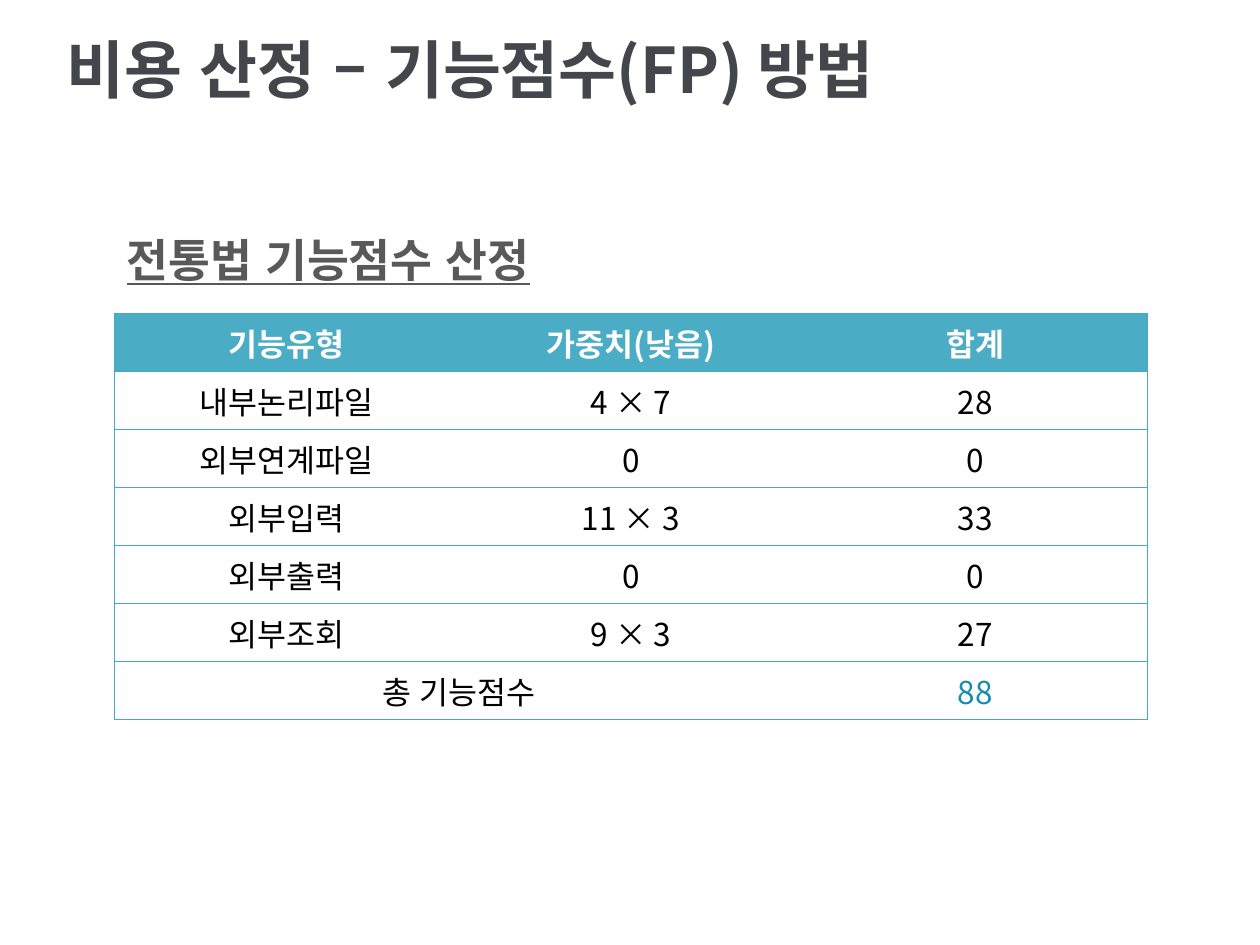
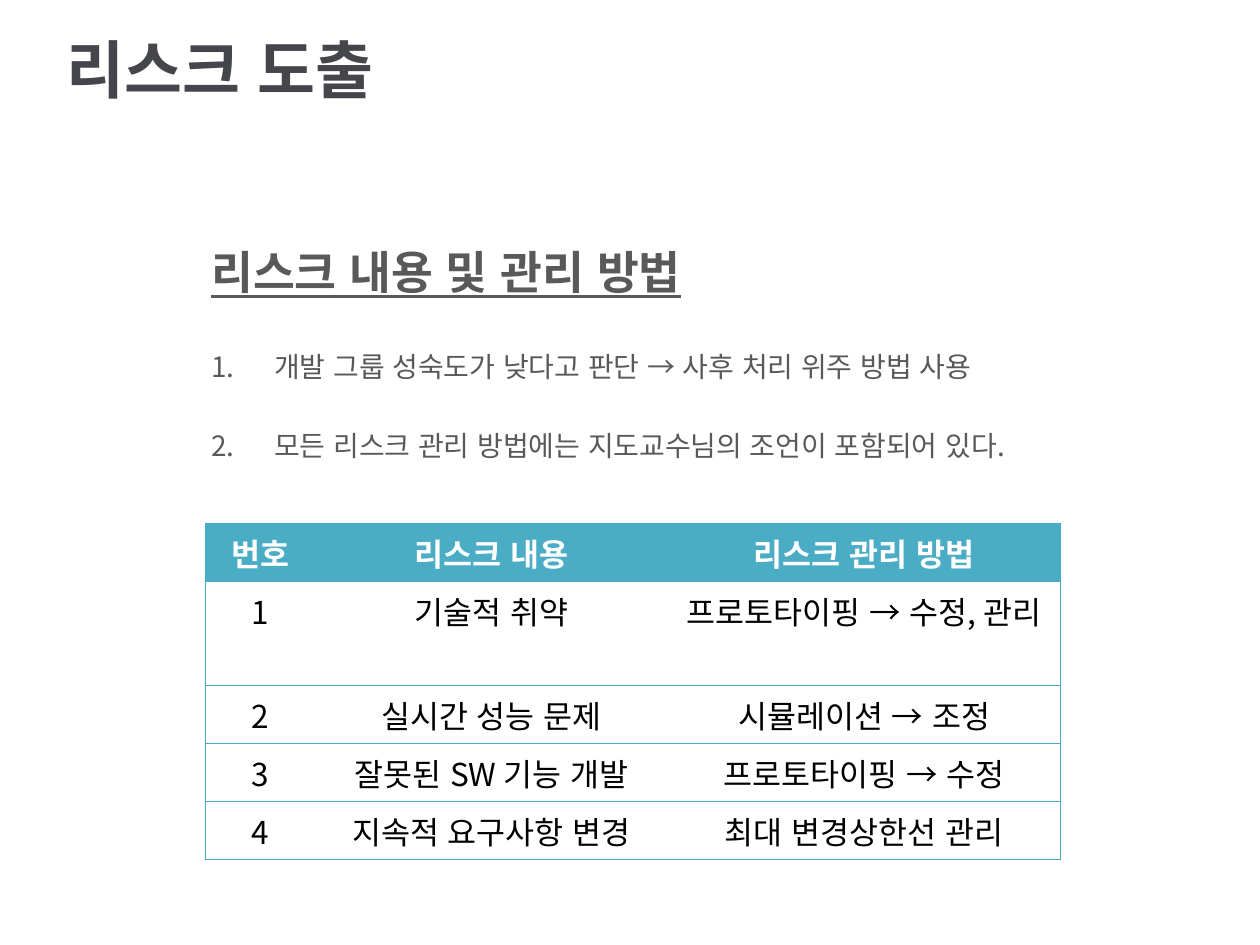
"""Build two slides: a function point estimate and a risk list, each with a table."""
from lxml.etree import SubElement
from pptx import Presentation
from pptx.dml.color import RGBColor
from pptx.enum.lang import MSO_LANGUAGE_ID
from pptx.enum.text import MSO_ANCHOR, PP_ALIGN
from pptx.oxml.ns import qn
from pptx.util import Cm, Pt

FONT = "Noto Sans CJK KR"
DARK, GREY, BLACK, WHITE = "44464B", "595959", "000000", "FFFFFF"
TEAL, EDGE, BLUE = "4BACC6", "46AAC5", "168CB3"
NO_GRID = "{2D5ABB26-0587-4C30-8999-92F81FD0307C}"
ROW, TALL = 1.17, 2.1


def tint(code):
    return RGBColor.from_string(code)


def write(para, text, size, code, bold=False, under=False):
    run = para.add_run()
    run.text = text
    font = run.font
    font.size, font.name, font.bold = Pt(size), FONT, bold
    font.underline = under or None
    font.language_id = MSO_LANGUAGE_ID.KOREAN
    font.color.rgb = tint(code)
    SubElement(font._element, qn("a:ea"), typeface=FONT)


pages = [
    {
        "title": "비용 산정 – 기능점수(FP) 방법",
        "head": "전통법 기능점수 산정",
        "spot": (2.31, 4.55),
        "notes": [],
        "grid": (2.31, 6.32),
        "cols": [6.94] * 3,
        "highs": [ROW] * 7,
        "anchor": MSO_ANCHOR.MIDDLE,
        "rows": [
            ("기능유형", "가중치(낮음)", "합계"),
            ("내부논리파일", "4 × 7", "28"),
            ("외부연계파일", "0", "0"),
            ("외부입력", "11 × 3", "33"),
            ("외부출력", "0", "0"),
            ("외부조회", "9 × 3", "27"),
            ("총 기능점수", None, "88"),
        ],
    },
    {
        "title": "리스크 도출",
        "head": "리스크 내용 및 관리 방법",
        "spot": (4.01, 4.8),
        "notes": [
            "개발 그룹 성숙도가 낮다고 판단 → 사후 처리 위주 방법 사용",
            "모든 리스크 관리 방법에는 지도교수님의 조언이 포함되어 있다.",
        ],
        "grid": (4.14, 10.55),
        "cols": [2.21, 7.11, 7.92],
        "highs": [ROW, TALL, ROW, ROW, ROW],
        "anchor": MSO_ANCHOR.TOP,
        "rows": [
            ("번호", "리스크 내용", "리스크 관리 방법"),
            ("1", "기술적 취약", "프로토타이핑 → 수정, 관리"),
            ("2", "실시간 성능 문제", "시뮬레이션 → 조정"),
            ("3", "잘못된 SW 기능 개발", "프로토타이핑 → 수정"),
            ("4", "지속적 요구사항 변경", "최대 변경상한선 관리"),
        ],
    },
]

deck = Presentation()
deck.slide_width, deck.slide_height = Cm(25.4), Cm(19.05)

for page in pages:
    slide = deck.slides.add_slide(deck.slide_layouts[6])
    shapes = slide.shapes

    if page["notes"]:
        body = shapes.add_textbox(Cm(4.01), Cm(6.93), Cm(20.8), Cm(10.59)).text_frame
        body.word_wrap = True
        for num, note in enumerate(page["notes"]):
            para = body.add_paragraph() if num else body.paragraphs[0]
            para.space_before = Pt(25.7 if num else 0)
            props = para._p.get_or_add_pPr()
            props.set("marL", str(Cm(1.27)))
            props.set("indent", str(-Cm(1.27)))
            SubElement(props, qn("a:buFont"), typeface=FONT)
            SubElement(props, qn("a:buAutoNum"), type="arabicPeriod")
            write(para, note, 16, GREY)

    title = shapes.add_textbox(Cm(1.09), Cm(0.1), Cm(18.39), Cm(2.57)).text_frame
    title.word_wrap = True
    title.vertical_anchor = MSO_ANCHOR.MIDDLE
    write(title.paragraphs[0], page["title"], 36, DARK, bold=True)

    rows, cols, highs = page["rows"], page["cols"], page["highs"]
    left, top = page["grid"]
    frame = shapes.add_table(len(rows), len(cols), Cm(left), Cm(top),
                             Cm(sum(cols)), Cm(sum(highs)))
    table = frame.table
    table.horz_banding = False
    table._tbl.tblPr.find(qn("a:tableStyleId")).text = NO_GRID
    for col, wide in zip(table.columns, cols):
        col.width = Cm(wide)
    for r, row in enumerate(rows):
        table.rows[r].height = Cm(highs[r])
        for c, text in enumerate(row):
            cell = table.cell(r, c)
            cell.vertical_anchor = page["anchor"]
            props = cell._tc.get_or_add_tcPr()
            sides = {"L": c == 0, "R": c == len(cols) - 1, "T": True, "B": True}
            for side, drawn in sides.items():
                line = SubElement(props, qn("a:ln" + side), w=str(Pt(0.75)))
                if drawn:
                    fill = SubElement(line, qn("a:solidFill"))
                    SubElement(fill, qn("a:srgbClr"), val=EDGE)
                else:
                    SubElement(line, qn("a:noFill"))
            if r == 0:
                cell.fill.solid()
                cell.fill.fore_color.rgb = tint(TEAL)
            else:
                cell.fill.background()
            if text is None:
                table.cell(r, c - 1).merge(cell)
                continue
            para = cell.text_frame.paragraphs[0]
            para.alignment = PP_ALIGN.CENTER
            code = WHITE if r == 0 else BLUE if text == "88" else BLACK
            write(para, text, 18, code, bold=r == 0)

    left, top = page["spot"]
    head = shapes.add_textbox(Cm(left), Cm(top), Cm(12.7), Cm(1.37)).text_frame
    head.word_wrap = True
    write(head.paragraphs[0], page["head"], 26, GREY, bold=True, under=True)

deck.save("out.pptx")
